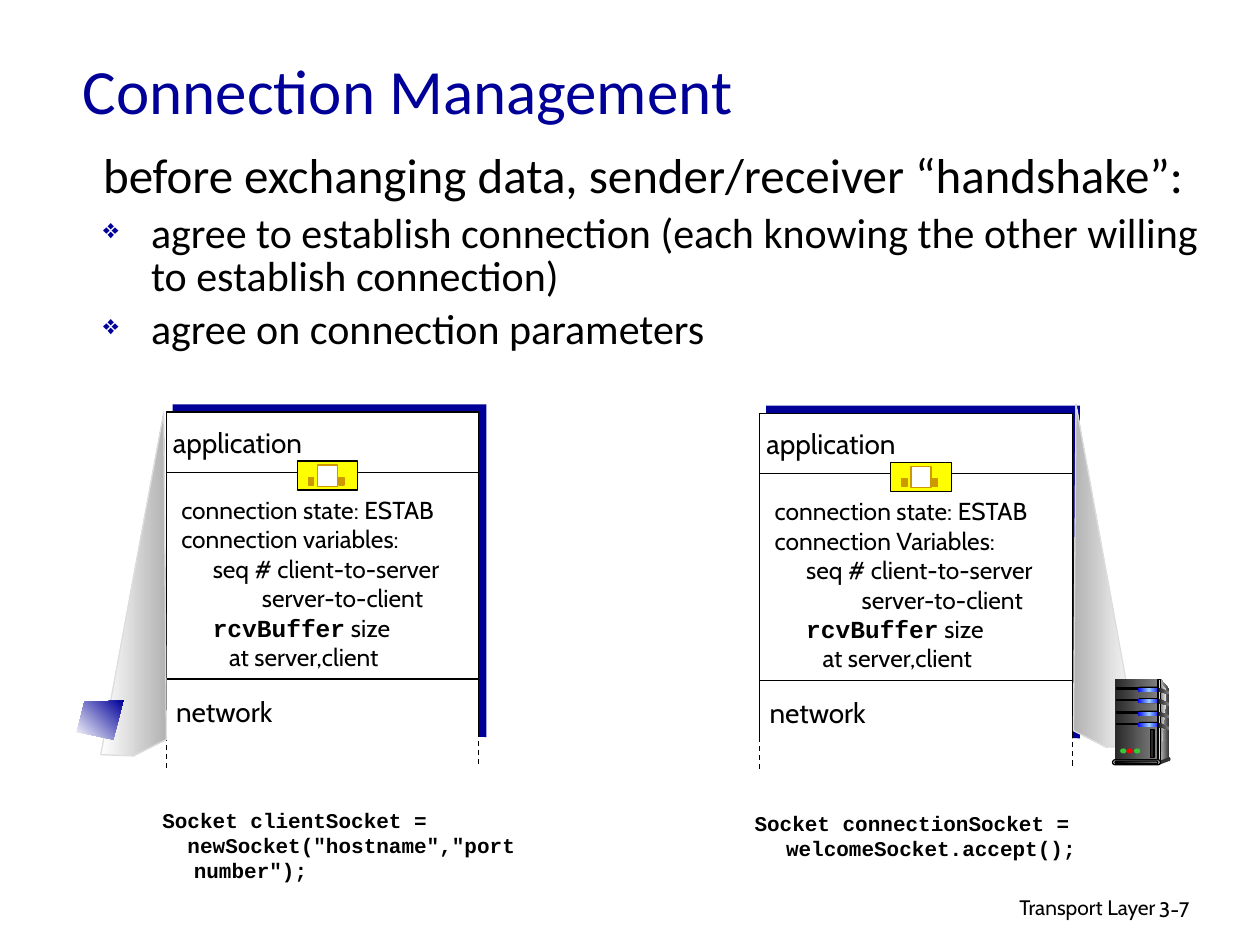
from dataclasses import dataclass

from lxml import etree
from pptx import Presentation
from pptx.dml.color import RGBColor
from pptx.enum.dml import MSO_LINE
from pptx.enum.shapes import MSO_CONNECTOR, MSO_SHAPE
from pptx.enum.text import MSO_ANCHOR, PP_ALIGN
from pptx.oxml.ns import qn
from pptx.util import Inches, Pt

RECT = MSO_SHAPE.RECTANGLE
PILL = MSO_SHAPE.ROUNDED_RECTANGLE
OVAL = MSO_SHAPE.OVAL
STRAIGHT = MSO_CONNECTOR.STRAIGHT
DASH = MSO_LINE.DASH
LEFT, CENTER, RIGHT = PP_ALIGN.LEFT, PP_ALIGN.CENTER, PP_ALIGN.RIGHT
TOP, MIDDLE = MSO_ANCHOR.TOP, MSO_ANCHOR.MIDDLE

COLORS = {
    "navy": "000099", "black": "000000", "white": "FFFFFF", "yellow": "FFFF00",
    "ochre": "CC9900", "silver": "B2B2B2", "pale": "DDDDDD", "gray": "808080",
    "charcoal": "333333", "coal": "292929", "mist": "F8F8F8", "blue": "0000FF",
    "sky": "99CCFF", "green": "33CC33", "red": "FF0000",
}
BODY, LABEL, CODE = "Calibri", "Cabin", "Courier New"
PANEL = ("gray", "coal")
GLOW = ("blue", "sky", "blue")


@dataclass
class Line:
    runs: list
    margin: float = 0
    hanging: float = 0
    size: float = 0
    before: float = 0
    bullet: str = ""


def rgb(name):
    return RGBColor.from_string(COLORS[name])


def paint(shape, fill, outline=None, angle=180):
    shape.shadow.inherit = False
    if isinstance(fill, tuple):
        shape.fill.gradient()
        shape.fill.gradient_angle = angle
        stops = shape._element.spPr.find(qn("a:gradFill")).find(qn("a:gsLst"))
        stops.clear()
        for i, name in enumerate(fill):
            stop = etree.SubElement(stops, qn("a:gs"), pos=str(i * 100000 // (len(fill) - 1)))
            etree.SubElement(stop, qn("a:srgbClr"), val=COLORS[name])
    else:
        shape.fill.solid()
        shape.fill.fore_color.rgb = rgb(fill)
    if outline:
        shape.line.color.rgb = rgb(outline)
        shape.line.width = Pt(0.75)
    else:
        shape.line.fill.background()


def add_block(shapes, box, fill, outline=None, kind=RECT):
    block = shapes.add_shape(kind, *map(Inches, box))
    if kind == PILL:
        block.adjustments[0] = 0.5
    paint(block, fill, outline)


def add_outline(shapes, points, fill, outline=None, angle=180):
    corners = [(Inches(x), Inches(y)) for x, y in points]
    builder = shapes.build_freeform(*corners[0])
    builder.add_line_segments(corners[1:], close=True)
    paint(builder.convert_to_shape(), fill, outline, angle)


def add_rule(shapes, start, end, dash=None):
    rule = shapes.add_connector(STRAIGHT, *map(Inches, start + end))
    rule.line.color.rgb = rgb("black")
    rule.line.width = Pt(0.75)
    if dash:
        rule.line.dash_style = dash
    etree.SubElement(rule._element.spPr, qn("a:effectLst"))


def add_bullet(props, symbol):
    color = etree.SubElement(props, qn("a:buClr"))
    etree.SubElement(color, qn("a:srgbClr"), val=COLORS["navy"])
    etree.SubElement(props, qn("a:buSzPct"), val="65000")
    etree.SubElement(props, qn("a:buChar"), char=symbol)


def add_text(shapes, box, lines, size=12, font=LABEL, color="black", bold=False,
             align=LEFT, anchor=TOP, wrap=True, spacing=None):
    frame = shapes.add_textbox(*map(Inches, box)).text_frame
    frame.word_wrap = wrap
    frame.vertical_anchor = anchor
    for i, line in enumerate(lines):
        paragraph = frame.paragraphs[0] if i == 0 else frame.add_paragraph()
        paragraph.alignment = align
        props = paragraph._p.get_or_add_pPr()
        props.set("marL", str(Inches(line.margin)))
        props.set("indent", str(-Inches(line.hanging)))
        if line.bullet:
            add_bullet(props, line.bullet)
        if spacing:
            paragraph.line_spacing = spacing
        if line.before:
            paragraph.space_before = Pt(line.before)
        for words, run_font in line.runs:
            run = paragraph.add_run()
            run.text = words
            run.font.name = run_font or font
            run.font.size = Pt(line.size or size)
            run.font.bold = bold or run_font == CODE
            run.font.color.rgb = rgb(color)


def plain(words, **layout):
    return Line([(words, None)], **layout)


def add_socket(slide, x, y):
    socket = slide.shapes.add_group_shape().shapes
    add_block(socket, (x, y, 0.48, 0.23), "yellow", "black")
    add_block(socket, (x + 0.16, y + 0.03, 0.16, 0.17), "white", "ochre")
    for offset in (0.09, 0.33):
        add_block(socket, (x + offset, y + 0.13, 0.04, 0.06), "ochre", "ochre")


def add_host(slide, x, y, variables_label, direction_indent):
    shapes = slide.shapes
    add_block(shapes, (x + 0.05, y - 0.06, 2.49, 2.64), "navy")
    add_block(shapes, (x, y, 2.48, 2.7), "white", "black")
    for depth in (0.48, 2.12):
        add_rule(shapes, (x, y + depth), (x + 2.48, y + depth))
    state = [
        plain("connection state: ESTAB"),
        plain(variables_label),
        plain("seq # client-to-server", margin=0.25),
        plain("server-to-client", margin=direction_indent),
        Line([("rcvBuffer", CODE), (" size", None)], margin=0.25),
        plain("at server,client", margin=0.38),
    ]
    add_text(shapes, (x + 0.02, y + 0.61, 2.55, 1.74), state, size=14)
    add_socket(slide, x + 1.04, y + 0.39)
    add_text(shapes, (x - 0.11, y + 0.06, 1.35, 0.37), [plain("application")],
             size=16, align=CENTER, wrap=False)
    add_text(shapes, (x - 0.07, y + 2.19, 1.06, 0.37), [plain("network")],
             size=16, align=CENTER, wrap=False)
    add_block(shapes, (x - 0.03, y + 2.58, 2.55, 0.2), "white")
    for offset, depth in ((0, 2.57), (2.48, 2.54)):
        add_rule(shapes, (x + offset, y + depth), (x + offset, y + depth + 0.26), DASH)


def add_server(slide):
    server = slide.shapes.add_group_shape().shapes
    add_outline(server, [(9.21, 5.39), (9.28, 5.47), (9.28, 6.01), (9.19, 6.04)],
                ("charcoal", "pale"))
    add_block(server, (8.85, 5.39, 0.34, 0.65), PANEL)
    add_outline(server, [(9.21, 5.43), (9.26, 5.48), (9.23, 5.8), (9.21, 6.02)],
                ("mist", "gray"))
    bays = [5.46, 5.55, 5.65, 5.74]
    for y in bays:
        add_block(server, (8.86, y, 0.19, 0.01), "black", "black")
        add_block(server, (9.03, y - 0.01, 0.19, 0.04), "black", kind=PILL)
        add_block(server, (9.03, y, 0.18, 0.03), GLOW, kind=PILL)
    add_block(server, (9.19, 5.39, 0.02, 0.65), ("charcoal", "pale", "charcoal"), "black")
    for y in bays:
        add_outline(server, [(9.2, y), (9.28, y + 0.03), (9.28, y + 0.05), (9.2, y + 0.03)],
                    PANEL)
    add_block(server, (9.27, 6.01, 0.02, 0.03), "charcoal", kind=OVAL)
    add_outline(server, [(9.2, 6.04), (9.2, 6.07), (9.28, 6.04), (9.28, 6.01)], "charcoal")
    add_block(server, (8.83, 6.03, 0.38, 0.04), "pale", "black", PILL)
    add_block(server, (8.85, 6.04, 0.34, 0.02), ("gray", "black"), "black", PILL)
    for x, light in ((8.89, "green"), (8.94, "red"), (9, "green")):
        add_block(server, (x, 5.94, 0.05, 0.04), light, kind=OVAL)
    add_block(server, (9.13, 5.79, 0.03, 0.22), "coal", "black")


def main():
    deck = Presentation()
    deck.slide_width, deck.slide_height = Inches(10), Inches(7.5)
    slide = deck.slides.add_slide(deck.slide_layouts[6])
    shapes = slide.shapes

    add_text(shapes, (6.1, 7.05, 3.17, 0.31), [plain("Transport Layer")], align=RIGHT)
    add_text(shapes, (9.1, 7.07, 0.74, 0.3), [plain("3-7")])
    add_text(shapes, (0.56, 0.21, 8.5, 1), [plain("Connection Management")],
             size=36, font=BODY, color="navy", anchor=MIDDLE)
    point = {"margin": 0.38, "hanging": 0.38, "before": 6, "bullet": "❖"}
    add_text(shapes, (0.72, 1.17, 9.12, 2.39), [
        plain("before exchanging data, sender/receiver “handshake”:",
              margin=0.38, hanging=0.38, size=28),
        plain("agree to establish connection (each knowing the other willing "
              "to establish connection)", **point),
        plain("agree on connection parameters", **point),
    ], size=24, font=BODY, spacing=0.85)

    add_host(slide, 1.32, 3.27, "connection variables:", 0.64)
    add_outline(shapes, [(0.8, 5.99), (1.3, 3.27), (1.32, 5.87), (1.06, 6)],
                ("white", "silver"), "pale", angle=0)
    add_host(slide, 6.03, 3.28, "connection Variables:", 0.69)
    add_outline(shapes, [(9.03, 5.92), (8.54, 3.21), (8.52, 5.8), (8.78, 5.93)],
                ("white", "silver"), "pale")

    code = {"margin": 0.25, "hanging": 0.25}
    add_text(shapes, (1.19, 6.36, 3.16, 0.7), [
        plain("Socket clientSocket =", **code),
        plain('  newSocket("hostname","port number");', **code),
    ], font=CODE, bold=True)
    add_text(shapes, (5.89, 6.38, 3.16, 0.5),
             [plain("Socket connectionSocket = welcomeSocket.accept();", **code)],
             font=CODE, bold=True)

    add_outline(shapes, [(0.98, 5.56), (0.67, 5.57), (0.61, 5.81), (0.9, 5.87)],
                ("white", "navy"), angle=45)
    add_server(slide)
    deck.save("out.pptx")


if __name__ == "__main__":
    main()
